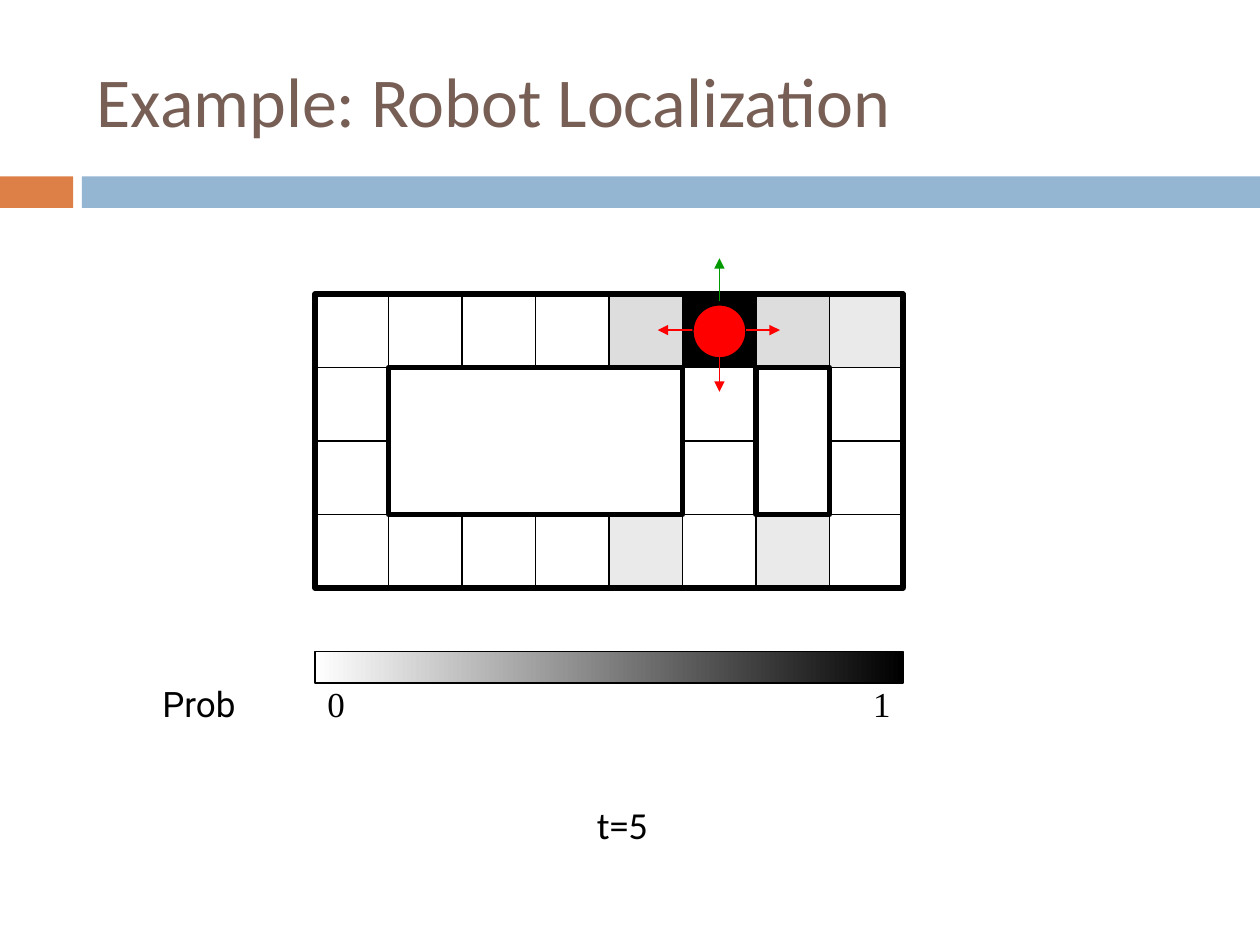
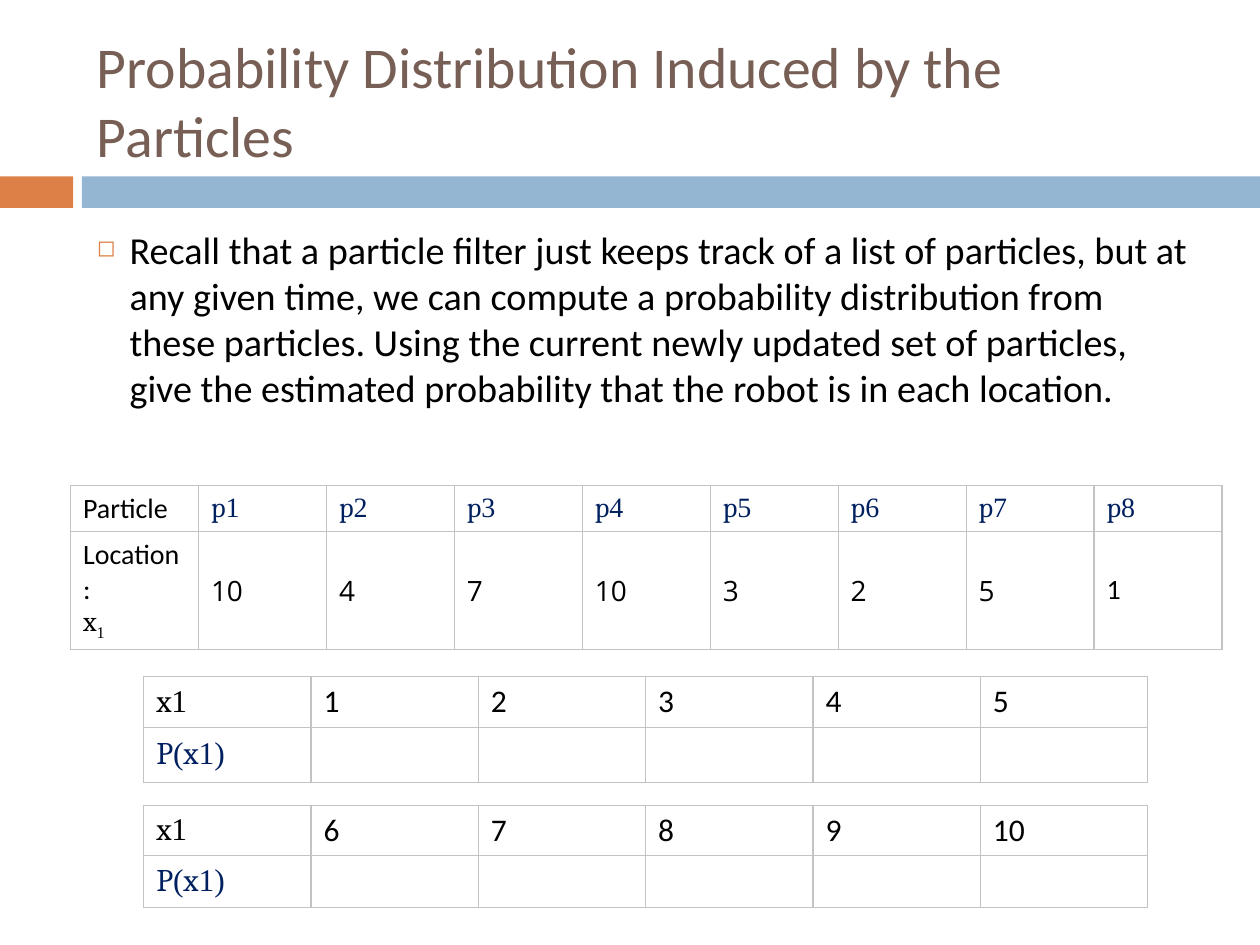
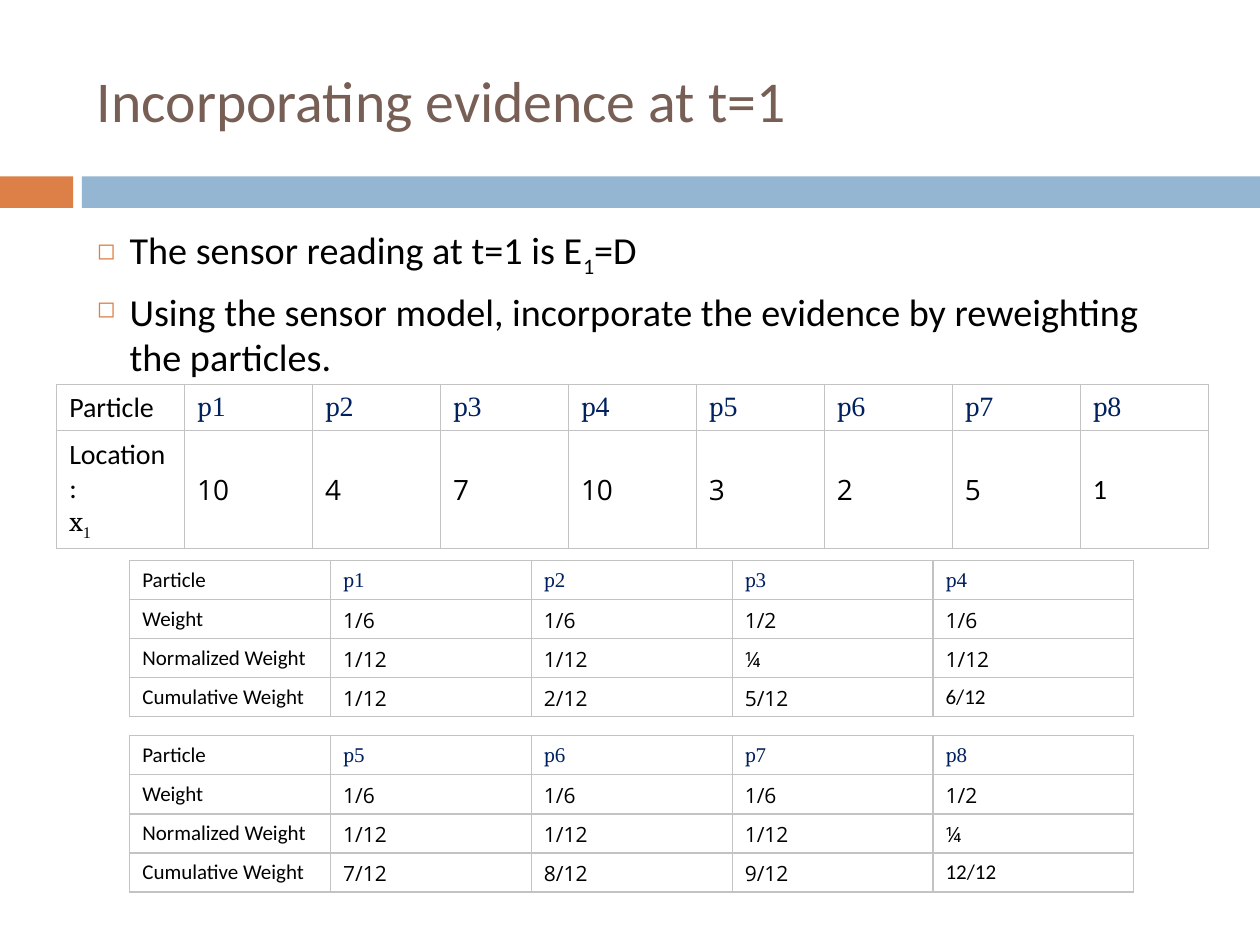
"""Builds three slides on robot localization with particle filters."""
from itertools import groupby

from lxml import etree
from pptx import Presentation
from pptx.dml.color import RGBColor
from pptx.enum.shapes import MSO_CONNECTOR, MSO_SHAPE
from pptx.enum.text import MSO_ANCHOR, PP_ALIGN
from pptx.oxml.ns import qn
from pptx.util import Inches, Pt

RECTANGLE, OVAL = MSO_SHAPE.RECTANGLE, MSO_SHAPE.OVAL
STRAIGHT = MSO_CONNECTOR.STRAIGHT
LEFT, CENTER, RIGHT = PP_ALIGN.LEFT, PP_ALIGN.CENTER, PP_ALIGN.RIGHT
TOP, MIDDLE = MSO_ANCHOR.TOP, MSO_ANCHOR.MIDDLE

COLORS = {
    "white": "FFFFFF", "black": "000000", "title": "775F55", "orange": "DD8047",
    "blue": "94B6D2", "navy": "002060", "border": "C3C3C3", "likely": "DDDDDD",
    "unlikely": "EAEAEA", "red": "FF0000", "green": "009900",
}
RGB = {name: RGBColor.from_string(value) for name, value in COLORS.items()}
MATH = "math"
WIDTH, HEIGHT = 10, 7.5
CELL = WIDTH * 7 / 120
GRID_LEFT, GRID_TOP = WIDTH / 4, 4 * CELL
GRID_COLUMNS, GRID_ROWS = 8, 4


def write(paragraph, text, size, font, color):
    """Add text; the character after an underscore becomes a subscript."""
    before, _, after = text.partition("_")
    for piece, baseline in ((before, 0), (after[:1], -25000), (after[1:], 0)):
        for is_letter, group in groupby(piece, str.isalpha if font == MATH else bool):
            run = paragraph.add_run()
            run.text = "".join(group)
            run.font.size = Pt(size)
            run.font.color.rgb = RGB[color]
            run.font.name = font
            if font == MATH:
                run.font.name = "Cambria" if is_letter else "Times New Roman"
            if baseline:
                run.font._rPr.set("baseline", str(baseline))


def add_table(slide, left, top, width, heights, rows, size, number_font):
    """Add a bordered table with math symbols set in serif type."""
    columns = len(rows[0])
    table = slide.shapes.add_table(len(rows), columns, Inches(left), Inches(top),
                                   Inches(width), Inches(sum(heights))).table
    table.first_row = table.horz_banding = False
    for column in table.columns:
        column.width = Inches(width / columns)
    for row_index, texts in enumerate(rows):
        table.rows[row_index].height = Inches(heights[row_index])
        for column_index, text in enumerate(texts):
            cell = table.cell(row_index, column_index)
            cell.vertical_anchor = MIDDLE
            properties = cell._tc.get_or_add_tcPr()
            for side in ("a:lnL", "a:lnR", "a:lnT", "a:lnB"):
                line = etree.SubElement(properties, qn(side), w=str(Pt(0.75)))
                line_fill = etree.SubElement(line, qn("a:solidFill"))
                etree.SubElement(line_fill, qn("a:srgbClr"), val=COLORS["border"])
            cell.fill.solid()
            cell.fill.fore_color.rgb = RGB["white"]
            is_last = (row_index, column_index) == (len(rows) - 1, columns - 1)
            for index, text_line in enumerate(text.split("\n") if text else []):
                frame = cell.text_frame
                paragraph = frame.add_paragraph() if index else frame.paragraphs[0]
                is_navy = text_line.startswith(("p", "P("))
                font = "Calibri" if column_index == 0 or is_last else number_font
                if is_navy or text_line.startswith("x"):
                    font = MATH
                write(paragraph, text_line, size, font, "navy" if is_navy else "black")


presentation = Presentation()
presentation.slide_width, presentation.slide_height = Inches(WIDTH), Inches(HEIGHT)
slides = [presentation.slides.add_slide(presentation.slide_layouts[6]) for _ in range(3)]
grid_slide, distribution_slide, evidence_slide = slides

rectangles = [(slide, RECTANGLE, left, 1.4, width, 0.25, color, 0)
              for slide in slides
              for left, width, color in ((0, 0.58, "orange"), (0.65, 9.35, "blue"))]

FLOOR_PLAN = ["....lBlu", ".####.#.", ".####.#.", "....u.u."]
SHADES = {".": None, "l": "likely", "u": "unlikely", "B": "black"}
for row, symbols in enumerate(FLOOR_PLAN):
    for column, symbol in enumerate(symbols):
        if symbol in SHADES:
            rectangles.append((grid_slide, RECTANGLE, GRID_LEFT + column * CELL,
                               GRID_TOP + row * CELL, CELL, CELL, SHADES[symbol], 0.75))
for column, row, columns, rows, color in (
        (1, 1, 4, 2, "white"), (0, 0, GRID_COLUMNS, GRID_ROWS, None), (6, 1, 1, 2, None)):
    rectangles.append((grid_slide, RECTANGLE, GRID_LEFT + column * CELL,
                       GRID_TOP + row * CELL, columns * CELL, rows * CELL, color, 3))
rectangles += [
    (grid_slide, RECTANGLE, GRID_LEFT, 5.17, GRID_COLUMNS * CELL, 0.25, "gradient", 0.75),
    (grid_slide, OVAL, 5.5, 2.42, 0.42, 0.42, "red", 0.75),
]
for slide, kind, left, top, width, height, color, line_width in rectangles:
    shape = slide.shapes.add_shape(kind, Inches(left), Inches(top), Inches(width), Inches(height))
    shape.shadow.inherit = False
    if color == "gradient":
        shape.fill.gradient()
        shape.fill.gradient_angle = 0
        for stop, position, shade in zip(shape.fill.gradient_stops, (0, 1), ("white", "black")):
            stop.position = position
            stop.color.rgb = RGB[shade]
    elif color:
        shape.fill.solid()
        shape.fill.fore_color.rgb = RGB[color]
    else:
        shape.fill.background()
    if line_width:
        shape.line.color.rgb = RGB["black"]
        shape.line.width = Pt(line_width)
    else:
        shape.line.fill.background()

ARROWS = [
    (5.34, 2.62, 5.64, 2.62, "red"),
    (5.71, 2.39, 5.71, 2.05, "green"),
    (5.71, 2.83, 5.71, 3.11, "red"),
    (5.92, 2.62, 6.19, 2.62, "red"),
    (5.49, 2.62, 5.22, 2.62, "red"),
]
for index, (*ends, color) in enumerate(ARROWS):
    arrow = grid_slide.shapes.add_connector(STRAIGHT, *map(Inches, ends))
    arrow.line.color.rgb = RGB[color]
    arrow.line.width = Pt(0.75)
    etree.SubElement(arrow.line._get_or_add_ln(), qn("a:tailEnd"), type="triangle")
    etree.SubElement(arrow._element.spPr, qn("a:effectLst"))
    if index == 0:
        robot = grid_slide.shapes[-2]
        robot._element.addprevious(arrow._element)

TITLE_BOX = (0.67, 0.25, 8.92, 1.08)
BODY_BOX = (0.67, 1.75, 8.92, 4.92)
TITLE_STYLE = ("Calibri", "title", LEFT, MIDDLE, False)
BODY_STYLE = (21.8, "Calibri", "black", LEFT, TOP, True)
HALF = GRID_COLUMNS * CELL / 2
TEXTS = [
    (grid_slide, TITLE_BOX, ["Example: Robot Localization"], 40, *TITLE_STYLE),
    (grid_slide, (0.69, 6.31, 8.5, 1), ["t=5"], 21.8, "Calibri", "black", CENTER, TOP, False),
    (grid_slide, (GRID_LEFT + HALF, 5.42, HALF, 0.33), ["1"],
     20, "Times New Roman", "black", RIGHT, MIDDLE, False),
    (grid_slide, (GRID_LEFT, 5.42, HALF, 0.33), ["0"],
     20, "Times New Roman", "black", LEFT, MIDDLE, False),
    (grid_slide, (0.83, 5.42, 1.5, 0.33), ["Prob"], 20, "Roboto", "black", CENTER, MIDDLE, False),
    (distribution_slide, TITLE_BOX, ["Probability Distribution Induced by the Particles"],
     33, *TITLE_STYLE),
    (distribution_slide, BODY_BOX, [
        "Recall that a particle filter just keeps track of a list of particles, but at any given "
        "time, we can compute a probability distribution from these particles. Using the current "
        "newly updated set of particles, give the estimated probability that the robot is in each "
        "location."], *BODY_STYLE),
    (evidence_slide, TITLE_BOX, ["Incorporating evidence at t=1"], 33, *TITLE_STYLE),
    (evidence_slide, BODY_BOX, [
        "The sensor reading at t=1 is E_1=D",
        "Using the sensor model, incorporate the evidence by reweighting the particles."],
     *BODY_STYLE),
]
for slide, box, lines, size, font, color, alignment, anchor, bulleted in TEXTS:
    frame = slide.shapes.add_textbox(*map(Inches, box)).text_frame
    frame.word_wrap = True
    frame.vertical_anchor = anchor
    for index, text in enumerate(lines):
        paragraph = frame.add_paragraph() if index else frame.paragraphs[0]
        paragraph.alignment = alignment
        if index:
            paragraph.space_before = Pt(5.2)
        if bulleted:
            properties = paragraph._p.get_or_add_pPr()
            properties.set("marL", str(Inches(0.26)))
            properties.set("indent", str(Inches(-0.26)))
            bullet_color = etree.SubElement(properties, qn("a:buClr"))
            etree.SubElement(bullet_color, qn("a:srgbClr"), val=COLORS["orange"])
            etree.SubElement(properties, qn("a:buSzPct"), val="60000")
            etree.SubElement(properties, qn("a:buChar"), char="◻")
        write(paragraph, text, size, font, color)

particles = [f"p{number}" for number in range(1, 9)]
locations = [["Particle", *particles],
             ["Location:\nx_1", "10", "4", "7", "10", "3", "2", "5", "1"]]
for slide, left, top in ((distribution_slide, 0.56, 3.85), (evidence_slide, 0.45, 3.05)):
    add_table(slide, left, top, 9.14, (0.32, 0.55), locations, 16, "Open Sans")

for first, top, heights in ((1, 5.37, (0.4, 0.44)), (6, 6.39, (0.4, 0.41))):
    numbers = [str(number) for number in range(first, first + 5)]
    add_table(distribution_slide, 1.14, top, 7.97, heights,
              [["x1", *numbers], ["P(x1)", *[""] * 5]], 18, "Calibri")

WEIGHTS = ["1/6", "1/6", "1/2", "1/6", "1/6", "1/6", "1/6", "1/2"]
NORMALIZED = ["1/12", "1/12", "¼", "1/12", "1/12", "1/12", "1/12", "¼"]
CUMULATIVE = [f"{twelfths}/12" for twelfths in (1, 2, 5, 6, 7, 8, 9, 12)]
for first, top in ((0, 4.45), (4, 5.84)):
    rows = [[label, *values[first:first + 4]] for label, values in (
        ("Particle", particles), ("Weight", WEIGHTS),
        ("Normalized Weight", NORMALIZED), ("Cumulative Weight", CUMULATIVE))]
    add_table(evidence_slide, 1.03, top, 7.97, [0.31] * 4, rows, 12, "Open Sans")

presentation.save("out.pptx")
